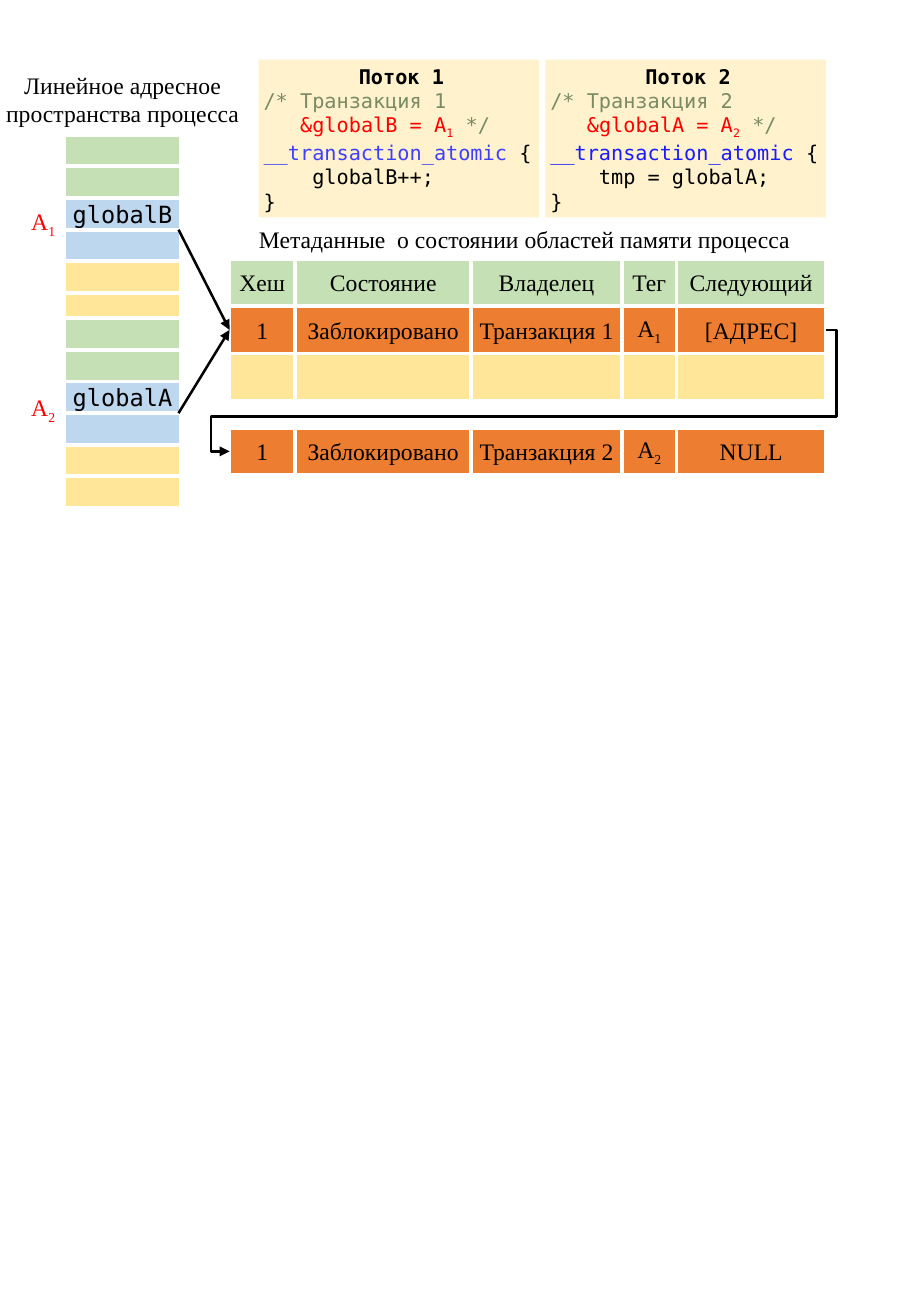
import pptx
import pptx.util
import pptx.dml.color
import pptx.enum.shapes
import pptx.enum.text
import pptx.oxml
import pptx.oxml.ns
import lxml.etree
import itertools

RGBColor = pptx.dml.color.RGBColor
Inches = pptx.util.Inches
Pt = pptx.util.Pt
BLACK = RGBColor(0x00, 0x00, 0x00)
WHITE = RGBColor(0xFF, 0xFF, 0xFF)
GREEN = RGBColor(0xC5, 0xE0, 0xB4)
BLUE = RGBColor(0xBD, 0xD7, 0xEE)
YELLOW = RGBColor(0xFF, 0xE6, 0x99)
ORANGE = RGBColor(0xED, 0x7D, 0x31)
CREAM = RGBColor(0xFF, 0xF2, 0xCC)
RED = RGBColor(0xFF, 0x00, 0x00)
COMMENT = RGBColor(0x7A, 0x8A, 0x63)
KEYWORD_1 = RGBColor(0x3F, 0x3F, 0xFF)
KEYWORD_2 = RGBColor(0x1A, 0x1A, 0xFF)
SERIF, MONO = "Times New Roman", "DejaVu Sans Mono"
SUB = "sub"

MEMORY_CAPTION = "Линейное адресное пространства процесса"
METADATA_CAPTION = "Метаданные  о состоянии областей памяти процесса"
MEMORY_COLOURS = [GREEN, GREEN, BLUE, BLUE, YELLOW, YELLOW] * 2
MEMORY_NAMES = {2: "globalB", 8: "globalA"}
ADDRESSES = [("1", 1.71), ("2", 3.24)]
THREADS = [
    ("1", "globalB", KEYWORD_1, "globalB++;"),
    ("2", "globalA", KEYWORD_2, "tmp = globalA;"),
]
METADATA = [
    (2.13, GREEN, ["Хеш", "Состояние", "Владелец", "Тег", "Следующий"]),
    (2.52, ORANGE, ["1", "Заблокировано", "Транзакция 1", ("A", "1"), "[АДРЕС]"]),
    (2.91, YELLOW, [""] * 5),
    (3.52, ORANGE, ["1", "Заблокировано", "Транзакция 2", ("A", "2"), "NULL"]),
]
COLUMN_WIDTHS = [0.54, 1.45, 1.24, 0.45, 1.23]
TABLE_LEFT, ROW_HEIGHT = 1.89, 0.39
CELL_LEFT, CELL_TOP, CELL_WIDTH, CELL_HEIGHT = 0.53, 1.11, 0.96, 0.26
HALF, HALF_OVERLAP = 6, 0.05

deck = pptx.Presentation()
deck.slide_width, deck.slide_height = Inches(7.5), Inches(10.83)
shapes = deck.slides.add_slide(deck.slide_layouts[6]).shapes


def write(holder, paragraphs, font=SERIF, size=14, left_inset=0):
    frame = holder.text_frame
    frame.word_wrap = True
    frame.vertical_anchor = pptx.enum.text.MSO_ANCHOR.MIDDLE
    frame.margin_left = Inches(left_inset)
    frame.margin_right = frame.margin_top = frame.margin_bottom = 0
    for number, (alignment, pieces) in enumerate(paragraphs):
        paragraph = frame.add_paragraph() if number else frame.paragraphs[0]
        paragraph.alignment = alignment
        for text, colour, *style in pieces:
            run = paragraph.add_run()
            run.text = text
            run.font.name, run.font.size = font, Pt(size)
            run.font.color.rgb = colour
            run.font.bold = "bold" in style
            if SUB in style:
                run.font._element.set("baseline", "-25000")


def centred(*pieces):
    return (pptx.enum.text.PP_ALIGN.CENTER, pieces)


def code(*pieces):
    return (pptx.enum.text.PP_ALIGN.LEFT, pieces)


def label(text, left, top, width, height, colour=BLACK):
    box = shapes.add_textbox(*map(Inches, (left, top, width, height)))
    write(box, [centred(*with_index(text, colour))])


def with_index(text, colour=BLACK):
    if isinstance(text, tuple):
        return [(text[0], colour), (text[1], colour, SUB)]
    return [(text, colour)]


def block(fill, left, top, width, height, outlined=True):
    rect = shapes.add_shape(pptx.enum.shapes.MSO_SHAPE.RECTANGLE,
                            *map(Inches, (left, top, width, height)))
    rect.shadow.inherit = False
    rect.fill.solid()
    rect.fill.fore_color.rgb = fill
    if outlined:
        rect.line.color.rgb, rect.line.width = WHITE, Pt(2.25)
    else:
        rect.line.fill.background()
    return rect


def arrow(kind, start, end):
    link = shapes.add_connector(kind, *map(Inches, start + end))
    link.line.color.rgb, link.line.width = BLACK, Pt(1.5)
    qn = pptx.oxml.ns.qn
    lxml.etree.SubElement(link.line._get_or_add_ln(), qn("a:tailEnd"), type="triangle")
    lxml.etree.SubElement(link._element.spPr, qn("a:effectLst"))
    return link


label(METADATA_CAPTION, TABLE_LEFT, 1.81, 4.86, 0.31)
label(MEMORY_CAPTION, -0.11, 0.5, 2.24, 0.63)
for digit, top in ADDRESSES:
    label(("A", digit), 0.23, top, 0.25, 0.25, RED)

column_lefts = list(itertools.accumulate(COLUMN_WIDTHS, initial=TABLE_LEFT))
metadata_rows = []
for top, fill, texts in METADATA:
    row = []
    for left, width, text in zip(column_lefts, COLUMN_WIDTHS, texts):
        cell = block(fill, left, top, width, ROW_HEIGHT)
        if text:
            write(cell, [centred(*with_index(text))])
        row.append(cell)
    metadata_rows.append(row)
locked_row, next_row = metadata_rows[1], metadata_rows[3]
locked_middle = METADATA[1][0] + ROW_HEIGHT / 2
next_middle = METADATA[3][0] + ROW_HEIGHT / 2

for index, fill in enumerate(MEMORY_COLOURS):
    top = CELL_TOP + index * CELL_HEIGHT - index // HALF * HALF_OVERLAP
    memory_cell = block(fill, CELL_LEFT, top, CELL_WIDTH, CELL_HEIGHT)
    if index in MEMORY_NAMES:
        write(memory_cell, [centred((MEMORY_NAMES[index], BLACK))], MONO)

for index in MEMORY_NAMES:
    bottom = CELL_TOP + (index + 1) * CELL_HEIGHT - index // HALF * HALF_OVERLAP
    pointer = arrow(pptx.enum.shapes.MSO_CONNECTOR.STRAIGHT,
                    (CELL_LEFT + CELL_WIDTH - 0.02, bottom), (TABLE_LEFT, locked_middle))
    pointer.end_connect(locked_row[0], 1)

for index, (digit, variable, keyword, statement) in enumerate(THREADS):
    listing = block(CREAM, 2.13 + index * 2.36, 0.49, 2.31, 1.3, outlined=False)
    write(listing, [
        centred((f"Поток {digit}", BLACK, "bold")),
        code((f"/* Транзакция {digit}", COMMENT)),
        code(("   ", COMMENT), (f"&{variable} = A", RED), (digit, RED, SUB), (" */", COMMENT)),
        code(("__transaction_atomic", keyword), (" {", BLACK)),
        code((f"    {statement}", BLACK)),
        code(("}", BLACK)),
    ], MONO, 12, 0.04)

chain = arrow(pptx.enum.shapes.MSO_CONNECTOR.ELBOW,
              (column_lefts[-1], locked_middle), (TABLE_LEFT, next_middle))
chain.begin_connect(locked_row[-1], 3)
chain.end_connect(next_row[0], 1)
bend = chain._element.spPr.find(pptx.oxml.ns.qn("a:prstGeom"))
bend.set("prst", "bentConnector5")
for number, share in enumerate([-1800, 71400, 103100], 1):
    lxml.etree.SubElement(bend.get_or_add_avLst(), pptx.oxml.ns.qn("a:gd"),
                          name=f"adj{number}", fmla=f"val {share}")

deck.save("out.pptx")
